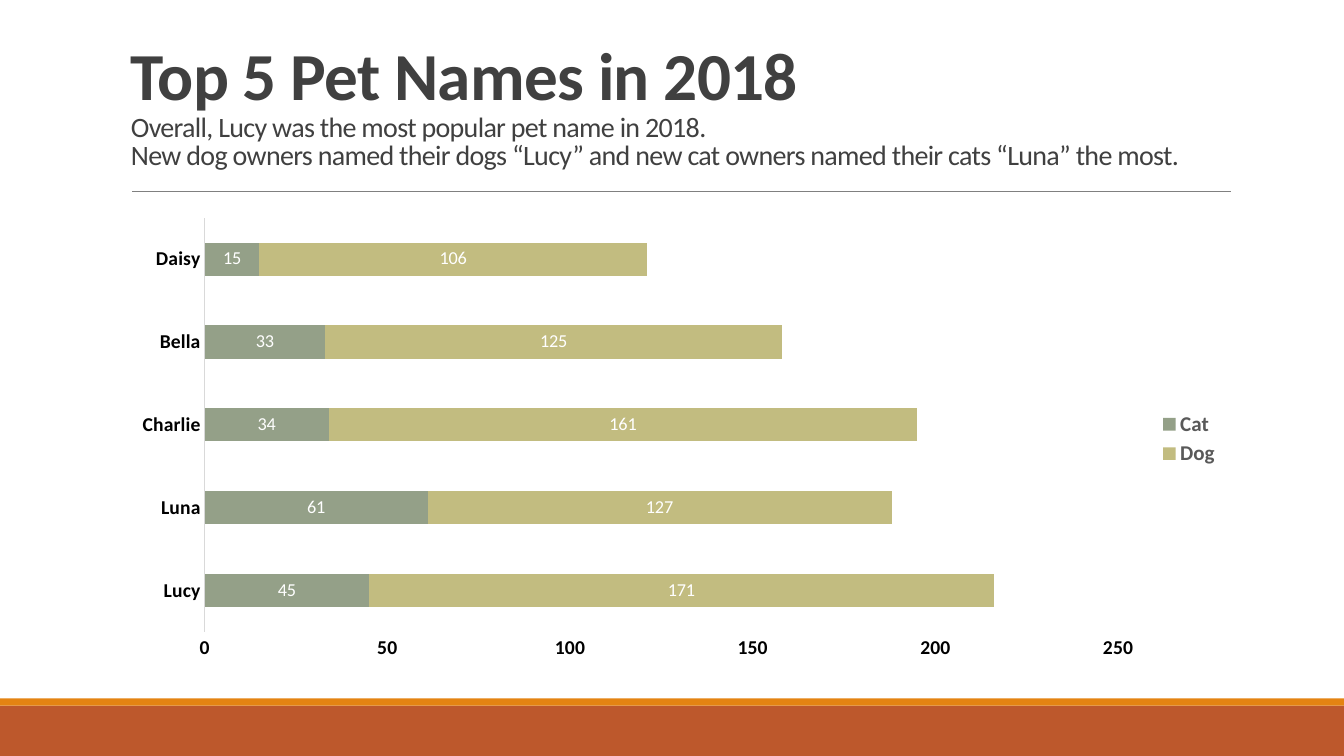
from lxml import etree
from pptx import Presentation
from pptx.chart.data import CategoryChartData
from pptx.dml.color import RGBColor
from pptx.enum import chart as chart_enum, shapes, text
from pptx.oxml import ns
from pptx.util import Inches, Pt

FONT = "Calibri"
RUST = RGBColor(0xBD, 0x58, 0x2C)
ORANGE = RGBColor(0xE4, 0x83, 0x12)
RULE_GREY = RGBColor(0x80, 0x80, 0x80)
AXIS_GREY = RGBColor(0xD9, 0xD9, 0xD9)
TITLE_GREY = RGBColor(0x40, 0x40, 0x40)
LEGEND_GREY = RGBColor(0x59, 0x59, 0x59)
BLACK = RGBColor(0, 0, 0)
WHITE = RGBColor(0xFF, 0xFF, 0xFF)
SAGE = RGBColor(0x94, 0xA0, 0x88)
KHAKI = RGBColor(0xC2, 0xBC, 0x80)

NAMES = ["Lucy", "Luna", "Charlie", "Bella", "Daisy"]
SERIES = [
    ("Cat", [45, 61, 34, 33, 15], SAGE),
    ("Dog", [171, 127, 161, 125, 106], KHAKI),
]
TITLE_LINES = [
    ("Top 5 Pet Names in 2018", 48, True),
    ("Overall, Lucy was the most popular pet name in 2018.", 20, False),
    ("New dog owners named their dogs “Lucy” and new cat owners "
     "named their cats “Luna” the most.", 20, False),
]


def set_font(font, size, color, bold=False):
    font.name = FONT
    font.size = Pt(size)
    font.bold = bold
    font.color.rgb = color


def add_footer(slide, left, top, width, height):
    """Thin orange stripe above a rust band."""
    stripe = 0.07
    for band_top, band_height, color in (
        (top + stripe, height - stripe, RUST),
        (top, stripe, ORANGE),
    ):
        shape = slide.shapes.add_shape(
            shapes.MSO_SHAPE.RECTANGLE, Inches(left), Inches(band_top),
            Inches(width), Inches(band_height))
        shape.shadow.inherit = False
        shape.fill.solid()
        shape.fill.fore_color.rgb = color
        shape.line.fill.background()


def add_title(slide, left, top, width, height):
    """Headline and subtitle, with a rule below them."""
    rule_top = Inches(top + height + 0.15)
    rule = slide.shapes.add_connector(
        shapes.MSO_CONNECTOR.STRAIGHT, Inches(left + 0.11), rule_top,
        Inches(left + width + 0.01), rule_top)
    rule.line.color.rgb = RULE_GREY
    rule.line.width = Pt(0.5)
    etree.SubElement(rule._element.spPr, ns.qn("a:effectLst"))

    box = slide.shapes.add_textbox(
        Inches(left), Inches(top), Inches(width), Inches(height))
    frame = box.text_frame
    frame.word_wrap = True
    frame.vertical_anchor = text.MSO_ANCHOR.BOTTOM
    paragraph = frame.paragraphs[0]
    paragraph.line_spacing = 0.85
    for index, (line, size, bold) in enumerate(TITLE_LINES):
        if index:
            paragraph.add_line_break()
        run = paragraph.add_run()
        run.text = line
        set_font(run.font, size, TITLE_GREY, bold)
        run._r.get_or_add_rPr().set("spc", "-50")


def place_plot(chart, x, y, width, height):
    """Fix the inner plot area, in fractions of the chart."""
    plot_area = chart._chartSpace.chart.plotArea
    for old in plot_area.findall(ns.qn("c:layout")):
        plot_area.remove(old)
    layout = etree.Element(ns.qn("c:layout"))
    manual = etree.SubElement(layout, ns.qn("c:manualLayout"))
    for tag, value in (
        ("layoutTarget", "inner"), ("xMode", "edge"), ("yMode", "edge"),
        ("x", x), ("y", y), ("w", width), ("h", height),
    ):
        etree.SubElement(manual, ns.qn("c:" + tag)).set("val", str(value))
    plot_area.insert(0, layout)


def add_names_chart(slide, left, top, width, height):
    """Stacked bars of cats and dogs for each name."""
    data = CategoryChartData()
    data.categories = NAMES
    for name, values, _ in SERIES:
        data.add_series(name, values)
    chart = slide.shapes.add_chart(
        chart_enum.XL_CHART_TYPE.BAR_STACKED, Inches(left), Inches(top),
        Inches(width), Inches(height), data).chart
    chart.has_title = False
    set_font(chart.font, 10, BLACK)
    place_plot(chart, 0.83 / width, 0.09 / height,
               9.06 / width, 4.11 / height)

    # Bars and their labels
    plot = chart.plots[0]
    plot.vary_by_categories = False
    plot.gap_width = 150
    plot.overlap = 100
    for series, (_, _, color) in zip(plot.series, SERIES):
        series.format.fill.solid()
        series.format.fill.fore_color.rgb = color
        labels = series.data_labels
        labels.show_value = True
        labels.position = chart_enum.XL_LABEL_POSITION.CENTER
        set_font(labels.font, 13, WHITE)

    # Axes
    for axis in (chart.category_axis, chart.value_axis):
        axis.has_major_gridlines = False
        axis.major_tick_mark = chart_enum.XL_TICK_MARK.NONE
        axis.minor_tick_mark = chart_enum.XL_TICK_MARK.NONE
        set_font(axis.tick_labels.font, 14, BLACK, True)
    chart.category_axis.format.line.color.rgb = AXIS_GREY
    chart.category_axis.format.line.width = Pt(0.75)
    chart.value_axis.format.line.fill.background()
    chart.value_axis.minimum_scale = 0
    chart.value_axis.maximum_scale = 250
    chart.value_axis.major_unit = 50

    # Legend
    chart.has_legend = True
    chart.legend.position = chart_enum.XL_LEGEND_POSITION.RIGHT
    chart.legend.include_in_layout = False
    set_font(chart.legend.font, 15, LEGEND_GREY, True)


def main():
    presentation = Presentation()
    presentation.slide_width = Inches(13.33)
    presentation.slide_height = Inches(7.5)
    slide = presentation.slides.add_slide(presentation.slide_layouts[6])
    add_footer(slide, 0, 6.93, 13.33, 0.57)
    add_title(slide, 1.2, 0.31, 11, 1.44)
    add_names_chart(slide, 1.2, 2.07, 11, 4.57)
    presentation.save("out.pptx")


if __name__ == "__main__":
    main()
